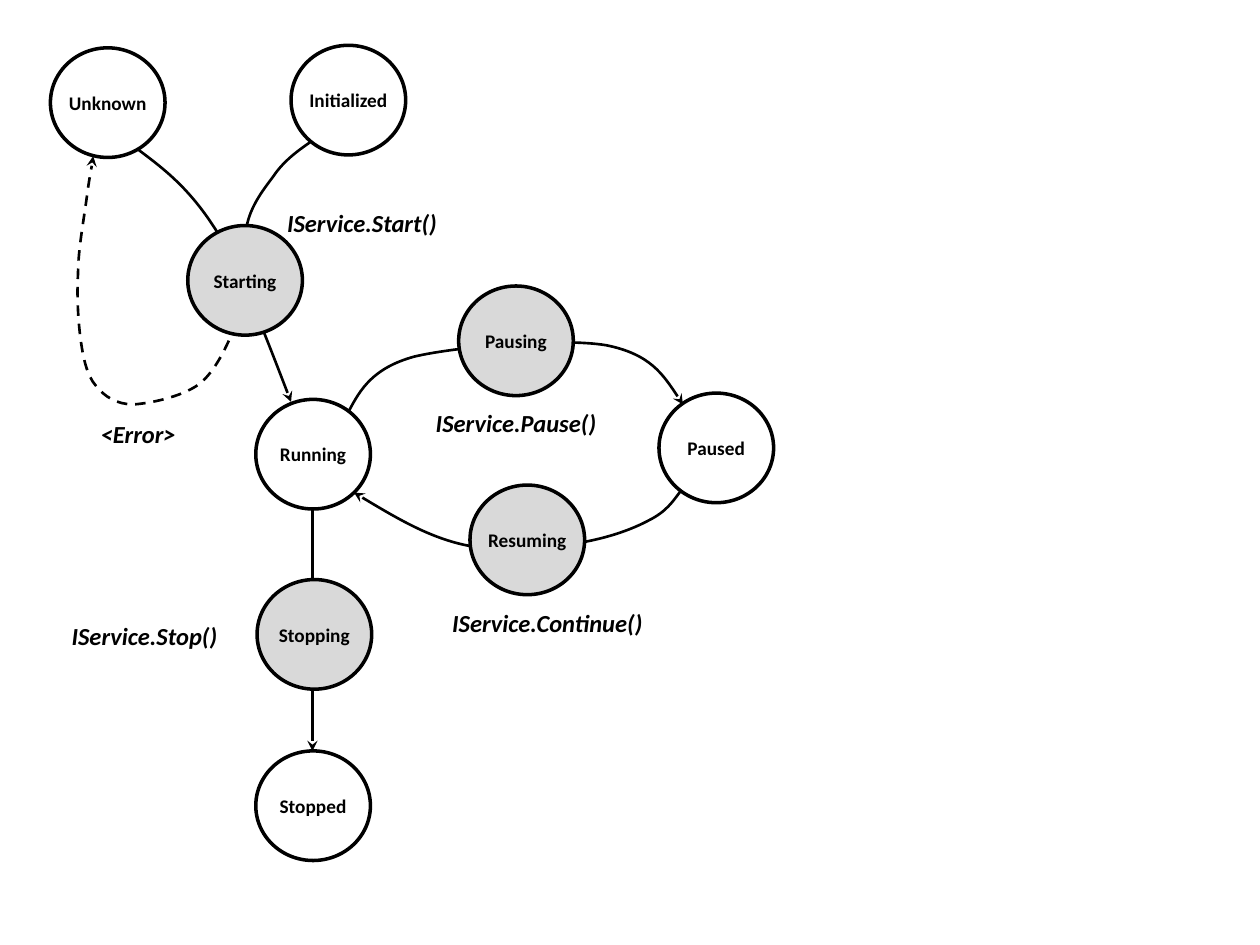
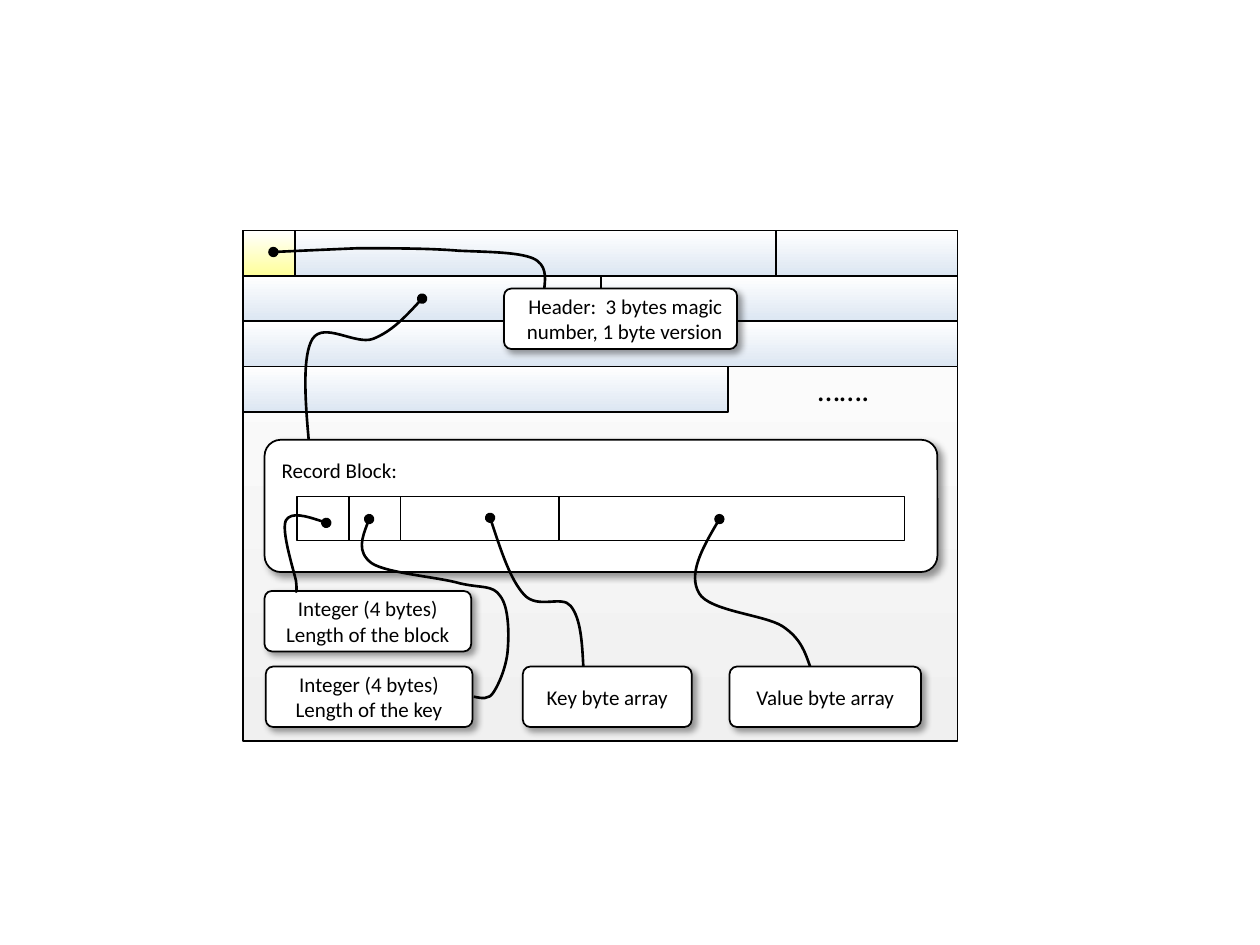
from dataclasses import dataclass
from itertools import accumulate

from lxml.etree import SubElement
from pptx import Presentation
from pptx.dml.color import RGBColor
from pptx.enum.dml import MSO_LINE
from pptx.enum.shapes import MSO_CONNECTOR, MSO_SHAPE
from pptx.enum.text import MSO_ANCHOR, MSO_AUTO_SIZE, PP_ALIGN
from pptx.oxml.ns import qn
from pptx.util import Inches, Pt


@dataclass(frozen=True)
class Theme:
    font: str = "Calibri"
    black: str = "000000"
    white: str = "FFFFFF"
    transient: str = "D9D9D9"
    frame: str = "F0F0F0"
    record: str = "DCE6F2"
    header: str = "FFFF99"
    state_size: int = 11
    call_size: int = 14
    note_size: int = 12
    dots_size: int = 18
    thin: float = 1
    link: float = 1.5
    ring: float = 2


@dataclass(frozen=True)
class Box:
    x: float
    y: float
    w: float
    h: float

    def inner(self, x, y, w, h):
        return Box(self.x + x, self.y + y, w, h)

    def point(self, x, y):
        return Inches(self.x + x), Inches(self.y + y)

    def emu(self):
        return [Inches(v) for v in (self.x, self.y, self.w, self.h)]


T = Theme()
STATE_W, STATE_H = 0.91, 0.87
ROW_H = 0.36
NOTE_H = 0.48


def rgb(color):
    return RGBColor.from_string(color)


def set_line(shape, width):
    shape.line.color.rgb = rgb(T.black)
    shape.line.width = Pt(width)


def add_end(shape, end, kind):
    SubElement(shape.element.spPr.get_or_add_ln(), qn(f"a:{end}"), type=kind)


def add_box(s, kind, box, fill, width=T.thin, fade=None):
    sp = s.shapes.add_shape(kind, *box.emu())
    sp.shadow.inherit = False
    set_line(sp, width)
    if fade:
        sp.fill.gradient()
        sp.fill.gradient_angle = 270
        for stop, color in zip(sp.fill.gradient_stops, (fill, fade)):
            stop.color.rgb = rgb(color)
    else:
        sp.fill.solid()
        sp.fill.fore_color.rgb = rgb(fill)
    return sp


def write(sp, lines, size, align=PP_ALIGN.CENTER, anchor=MSO_ANCHOR.MIDDLE,
          wrap=True, bold=None, italic=None):
    tf = sp.text_frame
    tf.word_wrap = wrap
    tf.vertical_anchor = anchor
    tf.text = lines
    for p in tf.paragraphs:
        p.alignment = align
        p.font.name = T.font
        p.font.size = Pt(size)
        p.font.bold = bold
        p.font.italic = italic
        p.font.color.rgb = rgb(T.black)
    return tf


def set_margins(tf, x, y):
    tf.margin_left = tf.margin_right = Inches(x)
    tf.margin_top = tf.margin_bottom = Inches(y)


def add_curve(s, box, points, head=None, tail=None, dashed=False):
    start, *rest = [box.point(*xy) for xy in points]
    fb = s.shapes.build_freeform(*start)
    fb.add_line_segments(rest, close=False)
    sp = fb.convert_to_shape()
    outline = sp.element.find(".//" + qn("a:path"))
    segments = outline.findall(qn("a:lnTo"))
    for i in range(0, len(segments), 3):
        bezier = SubElement(outline, qn("a:cubicBezTo"))
        for segment in segments[i:i + 3]:
            bezier.append(segment[0])
            outline.remove(segment)
    sp.shadow.inherit = False
    sp.fill.background()
    set_line(sp, T.link)
    if dashed:
        sp.line.dash_style = MSO_LINE.DASH
    if head:
        add_end(sp, "headEnd", head)
    if tail:
        add_end(sp, "tailEnd", tail)


def add_states(s, box, states, fill):
    for name, x, y in states:
        sp = add_box(s, MSO_SHAPE.OVAL, box.inner(x, y, STATE_W, STATE_H), fill, T.ring)
        set_margins(write(sp, name, T.state_size, bold=True), 0, 0.05)


def add_transitions(s, box):
    pause = [(2.37, 2.96), (2.46, 2.79), (2.56, 2.62), (2.89, 2.53),
             (3.23, 2.45), (4.05, 2.38), (4.41, 2.44),
             (4.76, 2.51), (4.89, 2.71), (5.02, 2.91)]
    resume = [(5, 3.6), (4.94, 3.68), (4.89, 3.76), (4.75, 3.83),
              (4.62, 3.9), (4.43, 3.97), (4.19, 4.01),
              (3.95, 4.04), (3.6, 4.1), (3.31, 4.03),
              (3.01, 3.97), (2.71, 3.79), (2.41, 3.61)]
    start = [(0.7, 0.89), (0.9, 1.04), (1.1, 1.19), (1.31, 1.52),
             (1.51, 1.85), (1.71, 2.37), (1.91, 2.89)]
    initialized = [(2.06, 0.83), (1.96, 0.9), (1.85, 0.98), (1.77, 1.1),
                   (1.68, 1.22), (1.57, 1.36), (1.55, 1.55),
                   (1.53, 1.73), (1.58, 1.97), (1.63, 2.21)]
    error = [(1.47, 1.98), (1.49, 2.08), (1.51, 2.17), (1.46, 2.3),
             (1.41, 2.43), (1.31, 2.65), (1.18, 2.75),
             (1.04, 2.85), (0.8, 2.9), (0.66, 2.91),
             (0.53, 2.91), (0.43, 2.85), (0.36, 2.76),
             (0.29, 2.68), (0.26, 2.54), (0.24, 2.39),
             (0.22, 2.24), (0.21, 2.05), (0.22, 1.87),
             (0.22, 1.68), (0.27, 1.42), (0.29, 1.26),
             (0.31, 1.11), (0.33, 1.03), (0.34, 0.94)]
    for points in (pause, resume, start):
        add_curve(s, box, points, tail="stealth")
    add_curve(s, box, initialized)
    add_curve(s, box, error, tail="stealth", dashed=True)

    stop = s.shapes.add_connector(MSO_CONNECTOR.STRAIGHT,
                                  *box.point(2.08, 3.74), *box.point(2.08, 5.66))
    set_line(stop, T.link)
    add_end(stop, "tailEnd", "stealth")
    SubElement(stop.element.spPr, qn("a:effectLst"))


def add_calls(s, box):
    for text, x, y, w in (("IService.Start()", 1.78, 1.3, 1.4),
                          ("IService.Stop()", 0.07, 4.58, 1.37),
                          ("IService.Continue()", 3.09, 4.48, 1.73),
                          ("IService.Pause()", 2.96, 2.89, 1.49),
                          ("<Error>", 0.3, 2.98, 0.8)):
        tb = s.shapes.add_textbox(*box.inner(x, y, w, 0.34).emu())
        tf = write(tb, text, T.call_size, PP_ALIGN.LEFT, MSO_ANCHOR.TOP,
                   wrap=False, bold=True, italic=True)
        tf.auto_size = MSO_AUTO_SIZE.SHAPE_TO_FIT_TEXT


def state_slide(s, box):
    add_states(s, box, (("Unknown", 0, 0.08), ("Initialized", 1.91, 0.06),
                        ("Running", 1.63, 2.87), ("Paused", 4.83, 2.82),
                        ("Stopped", 1.63, 5.66)), T.white)
    add_transitions(s, box)
    add_states(s, box, (("Pausing", 3.24, 1.97), ("Resuming", 3.33, 3.55),
                        ("Starting", 1.09, 1.49), ("Stopping", 1.64, 4.3)), T.transient)
    add_calls(s, box)


def add_row(s, box, widths, fades):
    lefts = accumulate(widths, initial=0)
    for x, w, fade in zip(lefts, widths, fades):
        add_box(s, MSO_SHAPE.RECTANGLE, box.inner(x, 0, w, box.h), T.white, fade=fade)


def add_note(s, box, text, align=PP_ALIGN.CENTER, anchor=MSO_ANCHOR.MIDDLE):
    sp = add_box(s, MSO_SHAPE.ROUNDED_RECTANGLE, box, T.white)
    sp.adjustments[0] = 0.123
    effects = sp.element.spPr.find(qn("a:effectLst"))
    shadow = SubElement(effects, qn("a:outerShdw"), blurRad=str(Pt(4)), dist=str(Pt(3)),
                        dir="2700000", algn="tl", rotWithShape="0")
    color = SubElement(shadow, qn("a:srgbClr"), val=T.black)
    SubElement(color, qn("a:alpha"), val="40000")
    set_margins(write(sp, text, T.note_size, align, anchor), 0.1, 0.1)


def add_file_rows(s, box):
    rows = (0.41, 3.82, 1.44), (2.84, 2.83), (5.67,), (3.85,)
    for i, widths in enumerate(rows):
        fades = [T.record] * len(widths)
        if i == 0:
            fades[0] = T.header
        add_row(s, box.inner(0, i * ROW_H, box.w, ROW_H), widths, fades)
    tb = s.shapes.add_textbox(*box.inner(3.86, 3 * ROW_H, 1.81, ROW_H).emu())
    write(tb, "…….", T.dots_size)


def add_record_block(s, box):
    add_note(s, box, "Record Block:", PP_ALIGN.LEFT, MSO_ANCHOR.TOP)
    add_row(s, box.inner(0.26, 0.45, 4.82, 0.35), (0.41, 0.41, 1.26, 2.74), [None] * 4)


def add_links(s, box):
    record = [(1.42, 0.54), (1.3, 0.67), (1.18, 0.8), (1.03, 0.86),
              (0.89, 0.91), (0.64, 0.72), (0.55, 0.86),
              (0.47, 0.99), (0.49, 1.33), (0.52, 1.66)]
    block_length = [(0.66, 2.32), (0.52, 2.27), (0.38, 2.23), (0.34, 2.3),
                    (0.3, 2.38), (0.4, 2.69), (0.42, 2.78),
                    (0.43, 2.88), (0.42, 2.87), (0.42, 2.86)]
    key_length = [(1, 2.29), (0.95, 2.42), (0.9, 2.55), (1.02, 2.64),
                  (1.14, 2.72), (1.55, 2.75), (1.72, 2.8),
                  (1.89, 2.84), (1.98, 2.81), (2.04, 2.9),
                  (2.11, 2.99), (2.11, 3.2), (2.1, 3.33),
                  (2.09, 3.46), (2.03, 3.6), (1.99, 3.66),
                  (1.95, 3.73), (1.89, 3.71), (1.83, 3.7)]
    key = [(1.96, 2.28), (2.04, 2.52), (2.12, 2.77), (2.23, 2.89),
           (2.34, 3.01), (2.53, 2.89), (2.6, 2.98),
           (2.68, 3.08), (2.69, 3.27), (2.7, 3.46)]
    value = [(3.78, 2.29), (3.65, 2.51), (3.53, 2.73), (3.62, 2.88),
             (3.7, 3.02), (4.14, 3.05), (4.28, 3.14),
             (4.43, 3.24), (4.46, 3.35), (4.5, 3.46)]
    header = [(0.24, 0.17), (0.45, 0.16), (0.91, 0.14), (0.91, 0.14),
              (1.15, 0.14), (1.48, 0.14), (1.71, 0.16),
              (1.94, 0.17), (2.18, 0.17), (2.3, 0.22),
              (2.41, 0.27), (2.4, 0.37), (2.39, 0.46)]
    for points in (record, block_length, key_length, key, value, header):
        add_curve(s, box, points, head="oval")


def file_slide(s, box):
    add_box(s, MSO_SHAPE.RECTANGLE, box, T.white, fade=T.frame)
    add_file_rows(s, box)
    add_note(s, box.inner(2.07, 0.46, 1.85, NOTE_H),
             "Header:  3 bytes magic number, 1 byte version", PP_ALIGN.RIGHT)
    add_record_block(s, box.inner(0.17, 1.66, 5.34, 1.05))
    for text, x, y, w in (("Integer (4 bytes)\nLength of the block", 0.17, 2.86, 1.64),
                          ("Integer (4 bytes)\nLength of the key", 0.18, 3.46, 1.64),
                          ("Key byte array", 2.22, 3.46, 1.34),
                          ("Value byte array", 3.86, 3.46, 1.52)):
        add_note(s, box.inner(x, y, w, NOTE_H), text)
    add_links(s, box)


def main():
    prs = Presentation()
    prs.slide_width, prs.slide_height = Inches(10), Inches(7.5)
    for build, box in ((state_slide, Box(0.4, 0.3, 5.74, 6.53)),
                       (file_slide, Box(1.93, 1.83, 5.67, 4.05))):
        build(prs.slides.add_slide(prs.slide_layouts[6]), box)
    prs.save("out.pptx")


if __name__ == "__main__":
    main()
